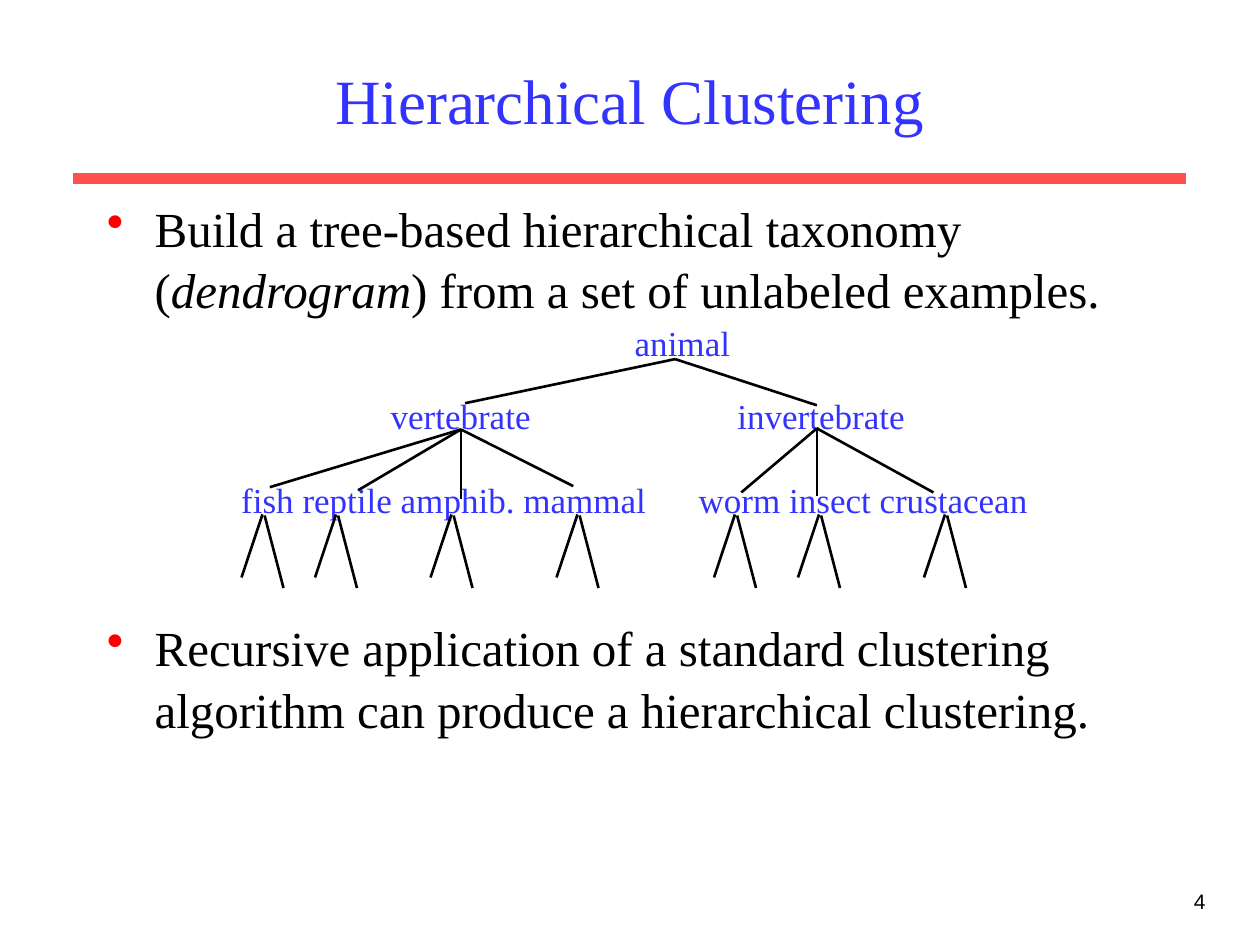
from lxml import etree
from pptx import Presentation, util as u
from pptx.dml.color import RGBColor
from pptx.enum import shapes, text
from pptx.oxml.ns import qn

BLACK = RGBColor(0, 0, 0)
BLUE = RGBColor(0x33, 0x33, 0xFF)
CORAL = RGBColor(0xFF, 0x50, 0x50)
SERIF, SANS = "Times New Roman", "Arial"
LEFT, MID, RIGHT = text.PP_ALIGN.LEFT, text.PP_ALIGN.CENTER, text.PP_ALIGN.RIGHT
CELL = u.Inches(1) / 12  # grid of 120 columns by 90 rows

# Each parent: its joint, then the ends of its branches
TREE = [
    ((64.3, 34.2), [(44.3, 38.4), (77.8, 38.6)]),
    ((43.9, 40.9), [(25.7, 46.4), (34.1, 46.7), (43.9, 47.5), (54.6, 46.3)]),
    ((77.8, 40.8), [(70.6, 46.9), (77.8, 47.2), (88.9, 46.9)]),
]
LEAVES = [25, 32, 43, 55, 70, 78, 90]
POINTS = [
    [("Build a tree-based hierarchical taxonomy (", False),
     ("dendrogram", True),
     (") from a set of unlabeled examples.", False)],
    [("Recursive application of a standard clustering "
      "algorithm can produce a hierarchical clustering.", False)],
]


def grid(*cells):
    return [u.Emu(round(c * CELL)) for c in cells]


class Page:
    def __init__(self, deck):
        self.slide = deck.slides.add_slide(deck.slide_layouts[6])

    def frame(self, box, wrap=True):
        tf = self.slide.shapes.add_textbox(*grid(*box)).text_frame
        tf.word_wrap = wrap
        return tf

    def run(self, para, words, size, color, font=SERIF, slant=False):
        run = para.add_run()
        run.text = words
        run.font.size, run.font.name = u.Pt(size), font
        run.font.italic = slant
        run.font.color.rgb = color

    def label(self, words, box, size=20, color=BLUE, font=SERIF,
              align=MID, wrap=True):
        tf = self.frame(box, wrap)
        para = tf.paragraphs[0]
        para.alignment = align
        self.run(para, words, size, color, font)
        return tf

    def line(self, start, end, color=BLACK, width=1.5):
        link = self.slide.shapes.add_connector(
            shapes.MSO_CONNECTOR.STRAIGHT, *grid(*start, *end))
        link.line.color.rgb, link.line.width = color, u.Pt(width)
        etree.SubElement(link._element.spPr, qn("a:effectLst"))

    def bullets(self, points, box, gaps):
        tf = self.frame(box)
        for n, (runs, gap) in enumerate(zip(points, gaps)):
            para = tf.add_paragraph() if n else tf.paragraphs[0]
            para.space_before, para.line_spacing = u.Pt(gap), 1.05
            props = para._p.get_or_add_pPr()
            props.set("marL", str(u.Inches(0.38)))
            props.set("indent", str(-u.Inches(0.38)))
            tint = etree.SubElement(props, qn("a:buClr"))
            etree.SubElement(tint, qn("a:srgbClr"), val="FF0000")
            etree.SubElement(props, qn("a:buChar"), char="•")
            for words, slant in runs:
                self.run(para, words, 28, BLACK, slant=slant)


def set_tab(para, inches):
    stops = etree.SubElement(para._p.get_or_add_pPr(), qn("a:tabLst"))
    etree.SubElement(stops, qn("a:tab"), pos=str(u.Inches(inches)), algn="l")


def main():
    deck = Presentation()
    deck.slide_width, deck.slide_height = grid(120, 90)
    page = Page(deck)

    page.line((7, 17), (113, 17), CORAL, 6)
    page.label("4", (91, 84, 25, 6), 12, BLACK, SANS, RIGHT)
    title = page.label("Hierarchical Clustering", (9, 3, 102, 13), 36)
    title.vertical_anchor = text.MSO_ANCHOR.MIDDLE
    page.bullets(POINTS, (9, 18, 102, 61.5), (7, 169))

    page.label("animal", (56, 30, 18, 5.25))
    page.label("vertebrate", (36, 37, 15.75, 5.25), wrap=False)
    page.label("invertebrate", (69, 37, 18.4, 5.25), wrap=False)
    row = page.label("fish reptile amphib. mammal\tworm insect crustacean",
                     (21.8, 45, 79, 5.25), align=LEFT)
    set_tab(row.paragraphs[0], 3.63)

    for joint, ends in TREE:
        for end in ends:
            page.line(joint, end)
    for x in LEAVES:
        page.line((x, 49), (x - 2, 55))
        page.line((x + 0.2, 49.1), (x + 2, 56))

    deck.save("out.pptx")


if __name__ == "__main__":
    main()
